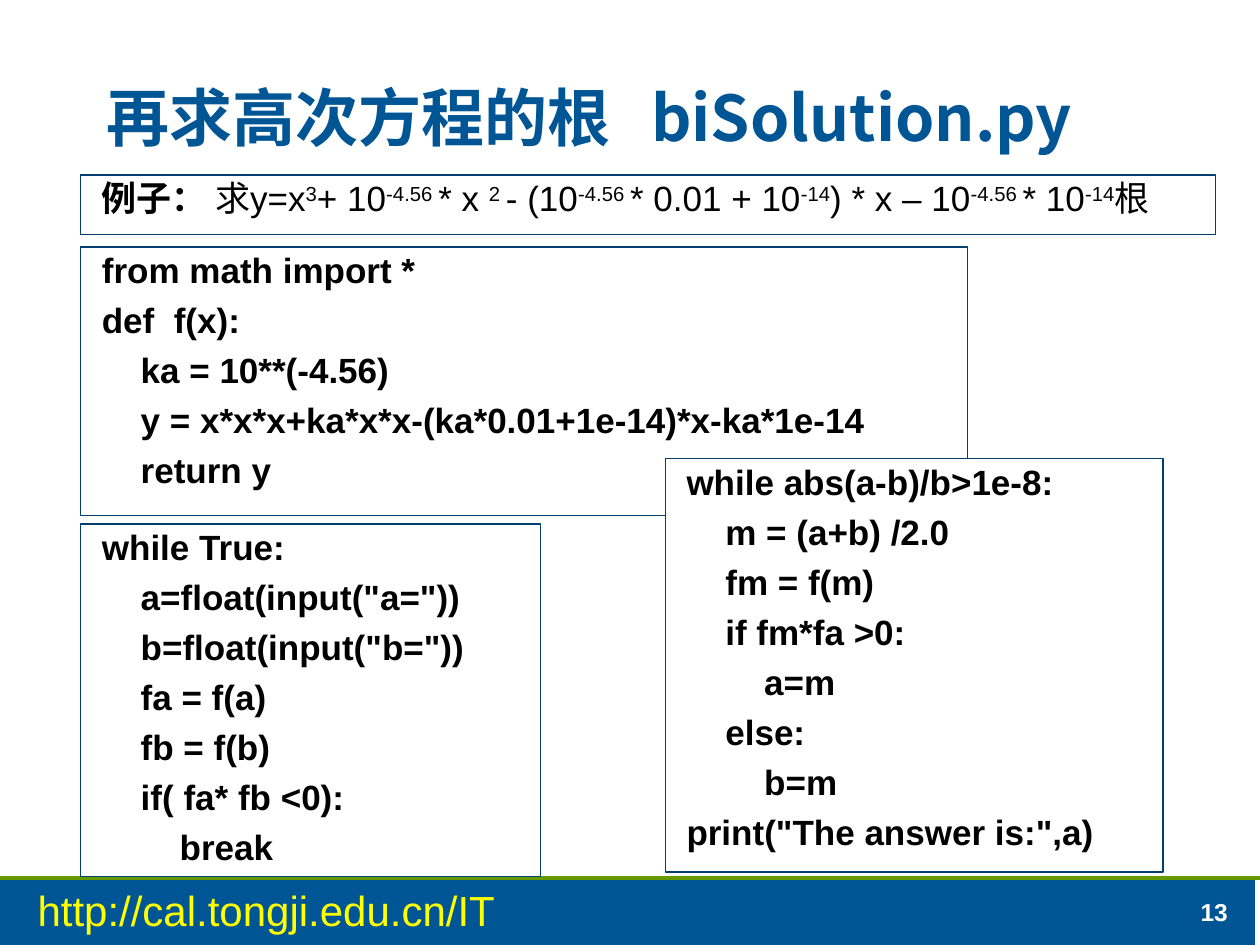
from dataclasses import dataclass
from typing import Any

from lxml.etree import SubElement
from pptx import Presentation
from pptx.dml.color import RGBColor
from pptx.enum.shapes import MSO_CONNECTOR, MSO_SHAPE
from pptx.enum.text import MSO_ANCHOR, PP_ALIGN
from pptx.oxml.ns import qn
from pptx.util import Inches, Pt

BLUE, GREEN, OUTLINE = "005595", "669900", "003F6E"
BLACK, WHITE, YELLOW = "000000", "FFFFFF", "FFFF00"

FORMULA = ["求y=x", "3", "+ 10", "-4.56 ", "* x ", "2 ", "- (10", "-4.56 ",
           "* 0.01 + 10", "-14", ") * x – 10", "-4.56 ", "* 10", "-14", "根"]

FUNCTION_CODE = """from math import *
def  f(x):
    ka = 10**(-4.56)
    y = x*x*x+ka*x*x-(ka*0.01+1e-14)*x-ka*1e-14
    return y"""

INPUT_CODE = """while True:
    a=float(input("a="))
    b=float(input("b="))
    fa = f(a)
    fb = f(b)
    if( fa* fb <0):
        break"""

BISECTION_CODE = """while abs(a-b)/b>1e-8:
    m = (a+b) /2.0
    fm = f(m)
    if fm*fa >0:
        a=m
    else:
        b=m
print("The answer is:",a)"""


def color(value):
    return RGBColor.from_string(value)


@dataclass
class SlideBuilder:
    """Holds the text style and the current slide, and draws its elements."""
    page: Any
    latin: str = "Arial"
    asian: str = "Noto Sans CJK SC"
    body_size: int = 20

    def span(self, para, text, ink=BLACK, raised=False, **values):
        span = para.add_run()
        span.text = text
        values = {"name": self.latin, "size": Pt(self.body_size), "bold": False} | values
        for name, value in values.items():
            setattr(span.font, name, value)
        span.font.color.rgb = color(ink)
        properties = span.font._element
        SubElement(properties, qn("a:ea")).set("typeface", self.asian)
        if raised:
            properties.set("baseline", "30000")

    def rectangle(self, place, fill, line=None):
        box = self.page.shapes.add_shape(MSO_SHAPE.RECTANGLE, *map(Inches, place))
        box.shadow.inherit = False
        box.fill.solid()
        box.fill.fore_color.rgb = color(fill)
        if line:
            box.line.color.rgb = color(line)
            box.line.width = Pt(0.75)
        else:
            box.line.fill.background()
        return box

    def rule(self, start, end, ink, width):
        line = self.page.shapes.add_connector(
            MSO_CONNECTOR.STRAIGHT, *map(Inches, start + end))
        line.line.color.rgb = color(ink)
        line.line.width = Pt(width)
        SubElement(line._element.spPr, qn("a:effectLst"))

    def label(self, place, text, anchor=MSO_ANCHOR.TOP, tab=None, spacing=None, **values):
        frame = self.page.shapes.add_textbox(*map(Inches, place)).text_frame
        frame.word_wrap = True
        frame.vertical_anchor = anchor
        para = frame.paragraphs[0]
        para.line_spacing = spacing
        if tab:
            stops = SubElement(para._p.get_or_add_pPr(), qn("a:tabLst"))
            SubElement(stops, qn("a:tab"), pos=str(Inches(tab)), algn="l")
        self.span(para, text, **values)

    def panel(self, place, lines):
        frame = self.rectangle(place, WHITE, OUTLINE).text_frame
        frame.word_wrap = True
        frame.vertical_anchor = MSO_ANCHOR.TOP
        for index, spans in enumerate(lines):
            para = frame.add_paragraph() if index else frame.paragraphs[0]
            para._p.get_or_add_pPr().set("marL", str(Inches(0.07)))
            layout = {"alignment": PP_ALIGN.LEFT, "line_spacing": 0.9,
                      "space_before": Pt(7) if index else Pt(0)}
            for name, value in layout.items():
                setattr(para, name, value)
            for text, values in spans:
                self.span(para, text, **values)

    def code(self, place, source):
        self.panel(place, [[(line, {"bold": True})] for line in source.splitlines()])


def main():
    deck = Presentation()
    deck.slide_width, deck.slide_height = Inches(10), Inches(7.5)
    slide = SlideBuilder(deck.slides.add_slide(deck.slide_layouts[6]))

    slide.rectangle((0, 6.97, 9.96, 0.53), BLUE)
    slide.rule((0, 6.97), (10, 6.97), GREEN, 2)
    slide.label((9.43, 7.06, 0.53, 0.34), "13", anchor=MSO_ANCHOR.BOTTOM,
                ink=WHITE, size=Pt(14), bold=True)
    slide.label((0.2, 6.97, 3.94, 0.5), "http://cal.tongji.edu.cn/IT",
                ink=YELLOW, size=Pt(24))
    slide.label((0.75, 0.29, 9.06, 1), "再求高次方程的根\tbiSolution.py",
                anchor=MSO_ANCHOR.BOTTOM, tab=4.32, spacing=0.95,
                ink=BLUE, name=slide.asian, size=Pt(36), bold=True)

    formula = [(text, {"raised": index % 2 == 1}) for index, text in enumerate(FORMULA)]
    slide.panel((0.64, 1.39, 9.01, 0.47), [[("例子： ", {"bold": True})] + formula])
    slide.code((0.64, 1.96, 7.04, 2.13), FUNCTION_CODE)
    slide.code((0.64, 4.16, 3.65, 2.8), INPUT_CODE)
    slide.code((5.28, 3.64, 3.95, 3.28), BISECTION_CODE)
    deck.save("out.pptx")


if __name__ == "__main__":
    main()
